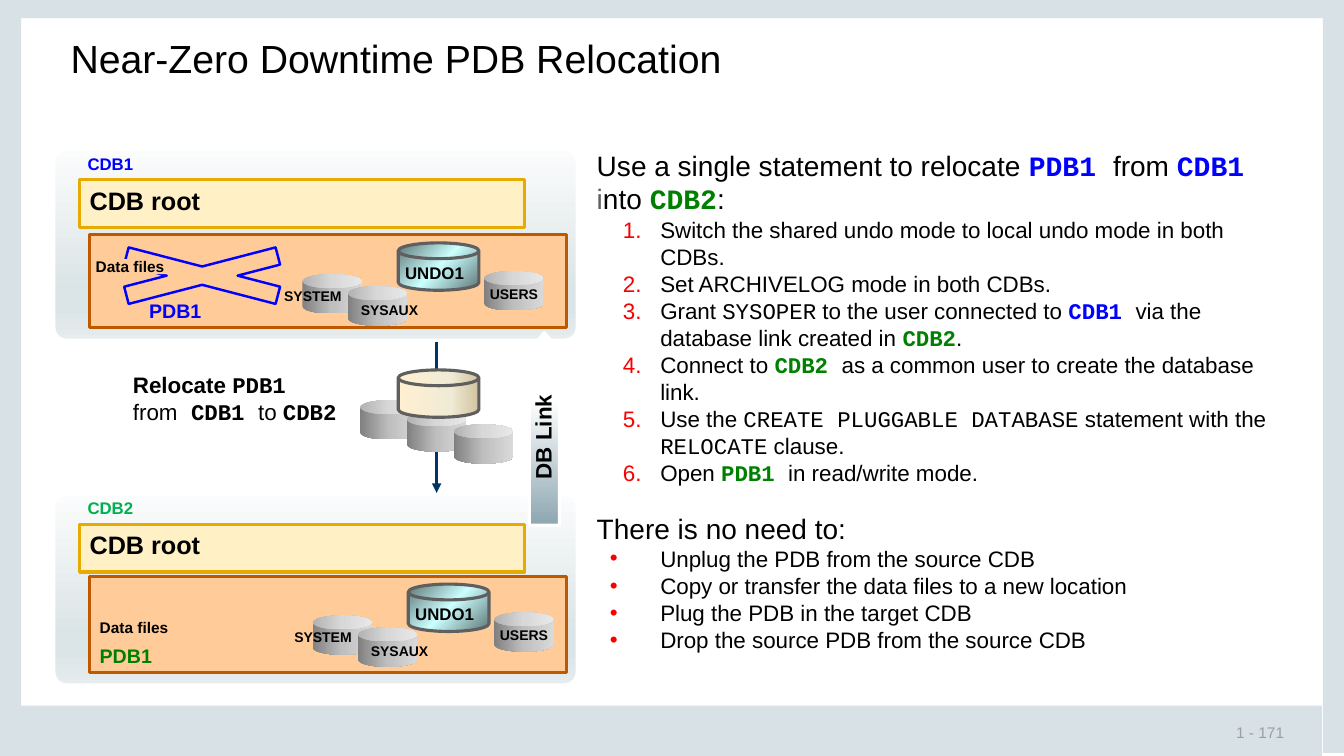
from dataclasses import dataclass

from lxml.etree import SubElement
from pptx import Presentation
from pptx.dml.color import RGBColor
from pptx.enum.shapes import MSO_CONNECTOR as Connector, MSO_SHAPE as Shape
from pptx.enum.text import MSO_ANCHOR as Anchor, PP_ALIGN as Align
from pptx.oxml import parse_xml
from pptx.oxml.ns import nsdecls, qn
from pptx.util import Inches, Pt


@dataclass(frozen=True)
class Theme:
    """Colours, fonts and type sizes of the deck."""
    sans: str = "Arial"
    mono: str = "Courier New"
    ink: str = "000000"
    white: str = "FFFFFF"
    grey: str = "5F5F5F"
    muted: str = "9F9F9F"
    frame: str = "D8E1E6"
    source: str = "0000FF"
    target: str = "008000"
    target_label: str = "00B050"
    marker: str = "F80000"
    arrow: str = "003366"
    root_fill: str = "FFF0C5"
    root_line: str = "E6AA00"
    pdb_fill: str = "FFCC99"
    pdb_line: str = "BF5900"
    panel: tuple = (90, (0, "FBFCFC"), (74, "DBE4E6"), (83, "DBE4E6"), (100, "E7EDEE"))
    can: tuple = (0, (0, "808080"), (50, "BFBFBF"), (100, "D9D9D9"))
    undo: tuple = (45, (0, "5E7676"), (50, "CCFFFF"), (100, "5E7676"))
    moving: tuple = (0, (0, "FFEFD1"), (65, "F0EBD5"), (100, "D1C39F"))
    link: tuple = (90, (0, "FFFFFF"), (35, "FFFFFF"), (100, "8DA6B1"))
    title: int = 28
    lead: int = 20
    root: int = 18
    body: int = 16
    pdb: int = 14
    tag: int = 12
    small: int = 11
    tiny: int = 10


class Board:
    """Draws themed elements on a slide grid of tenth-inch cells."""

    def __init__(self, slide, theme):
        self.shapes, self.theme = slide.shapes, theme
        self.styles = {
            "plain": (theme.sans, theme.ink, False), "bold": (theme.sans, theme.ink, True),
            "grey": (theme.sans, theme.grey, False), "muted": (theme.sans, theme.muted, False),
            "source_tag": (theme.sans, theme.source, True),
            "target_tag": (theme.sans, theme.target, True),
            "target_label": (theme.sans, theme.target_label, True),
            "code": (theme.mono, theme.ink, False), "code_bold": (theme.mono, theme.ink, True),
            "source": (theme.mono, theme.source, True), "target": (theme.mono, theme.target, True),
        }

    def cells(self, *lengths):
        return [Inches(length / 10) for length in lengths]

    def shape(self, kind, area, fill=None, line=None, weight=2.25, adjust=()):
        item = self.shapes.add_shape(kind, *self.cells(*area))
        item.shadow.inherit = False
        for index, value in enumerate(adjust):
            item.adjustments[index] = value
        if isinstance(fill, str):
            item.fill.solid()
            item.fill.fore_color.rgb = RGBColor.from_string(fill)
        else:
            item.fill.background()
            if fill:
                self.blend(item, *fill)
        if line:
            item.line.color.rgb = RGBColor.from_string(line)
            item.line.width = Pt(weight)
        else:
            item.line.fill.background()
        return item

    def blend(self, item, angle, *stops):
        marks = "".join(f'<a:gs pos="{pos * 1000}"><a:srgbClr val="{color}"/></a:gs>'
                        for pos, color in stops)
        gradient = parse_xml(f'<a:gradFill {nsdecls("a")} rotWithShape="1"><a:gsLst>{marks}'
                             f'</a:gsLst><a:lin ang="{angle * 60000}" scaled="0"/></a:gradFill>')
        properties = item.element.spPr
        properties.replace(properties.find(qn("a:noFill")), gradient)

    def typeset(self, paragraph, content, size, style="plain"):
        if isinstance(content, str):
            paragraph.text = content
            styles = [style]
        else:
            styles = [name for _, name in content]
            for words, _ in content:
                paragraph.add_run().text = words
        for run, name in zip(paragraph.runs, styles):
            run.font.name, color, run.font.bold = self.styles[name]
            run.font.color.rgb = RGBColor.from_string(color)
            run.font.size = Pt(size)

    def setup(self, item, inset=(1, 0.5, 1, 0.5), anchor=Anchor.TOP):
        frame = item.text_frame
        frame.word_wrap, frame.vertical_anchor = True, anchor
        (frame.margin_left, frame.margin_top,
         frame.margin_right, frame.margin_bottom) = self.cells(*inset)
        frame.paragraphs[0].alignment = Align.LEFT
        return frame

    def text(self, area, content, size, style="bold", **layout):
        box = self.shapes.add_textbox(*self.cells(*area))
        self.typeset(self.setup(box, **layout).paragraphs[0], content, size, style)
        return box

    def caption(self, item, content, size, style="bold", indent=0, **layout):
        paragraph = self.setup(item, **layout).paragraphs[0]
        paragraph._p.get_or_add_pPr().set("marL", str(self.cells(indent)[0]))
        self.typeset(paragraph, content, size, style)
        return paragraph

    def outline(self, area, rows):
        theme, frame = self.theme, self.setup(self.shapes.add_textbox(*self.cells(*area)))
        for index, (marker, content) in enumerate(rows):
            paragraph = frame.add_paragraph() if index else frame.paragraphs[0]
            if marker:
                tag, key, value, hang = marker
                props = paragraph._p.get_or_add_pPr()
                props.set("marL", str(self.cells(6.3)[0]))
                props.set("indent", str(-self.cells(hang)[0]))
                SubElement(SubElement(props, qn("a:buClr")), qn("a:srgbClr"), val=theme.marker)
                SubElement(props, qn("a:buFont"), typeface=theme.sans)
                SubElement(props, qn(tag), {key: value})
            size = theme.body if marker else theme.lead
            paragraph.line_spacing = Pt(19.3 if marker else 24.1)
            if index and not marker:
                paragraph.space_before = Pt(18)
            self.typeset(paragraph, content, size)

    def arrow(self, start, end):
        line = self.shapes.add_connector(Connector.STRAIGHT, *self.cells(*start, *end))
        line.line.color.rgb = RGBColor.from_string(self.theme.arrow)
        line.line.width = Pt(2.25)
        properties = line.element.spPr
        SubElement(properties.find(qn("a:ln")), qn("a:tailEnd"), type="triangle")
        SubElement(properties, qn("a:effectLst"))

    def can(self, left, top):
        self.shape(Shape.CAN, (left, top, 5.9, 3.9), self.theme.can, adjust=[0.356])

    def disk(self, left, top, fill):
        self.shape(Shape.FLOWCHART_MAGNETIC_DISK, (left, top, 8, 4.7), fill, self.theme.grey)

    def container(self, top, name, style):
        theme = self.theme
        self.shape(Shape.ROUNDED_RECTANGLE, (5.3, top, 52, 19), theme.panel, theme.white, 3, [0.067])
        label = self.text((7.7, top + 0.3, 12.7, 2.6), name, theme.tag, style)
        label.text_frame.paragraphs[0].line_spacing = 0.8
        root = self.shape(Shape.RECTANGLE, (7.9, top + 3.05, 44.1, 4.7),
                          theme.root_fill, theme.root_line)
        self.caption(root, "CDB root", theme.root)

    def pdb(self, top, height, style, indent=0):
        theme = self.theme
        area = self.shape(Shape.RECTANGLE, (8.9, top, 47.3, height), theme.pdb_fill, theme.pdb_line)
        self.caption(area, "PDB1", theme.pdb, style, indent, anchor=Anchor.BOTTOM)

    def data_files(self, left, top):
        theme = self.theme
        self.disk(left + 9.5, top, theme.undo)
        self.text((left + 9.2, top + 1.45, 10.6, 3), "UNDO1", theme.tag)
        for x, y in ((0, 3.1), (4.5, 4.3), (18, 2.8)):
            self.can(left + x, top + y)
        for x, y, name in ((4.8, 5.3, "SYSAUX"), (-2.8, 3.9, "SYSTEM"), (17.6, 3.7, "USERS")):
            self.text((left + x, top + y, 12.2, 2.7), name, theme.tiny)


NUMBER = ("a:buAutoNum", "type", "arabicPeriod", 3.7)
BULLET = ("a:buChar", "char", "•", 5)
STEPS = [
    "Switch the shared undo mode to local undo mode in both CDBs.",
    "Set ARCHIVELOG mode in both CDBs.",
    [("Grant ", "plain"), ("SYSOPER", "code"), (" to the user connected to ", "plain"),
     ("CDB1 ", "source"), ("via the database link created in ", "plain"),
     ("CDB2", "target"), (".", "plain")],
    [("Connect to ", "plain"), ("CDB2 ", "target"),
     ("as a common user to create the database link.", "plain")],
    [("Use the ", "plain"), ("CREATE PLUGGABLE DATABASE", "code"),
     (" statement with the ", "plain"), ("RELOCATE", "code"), (" clause.", "plain")],
    [("Open ", "plain"), ("PDB1 ", "target"), ("in read/write mode.", "plain")],
]
AVOIDED = ["Unplug the PDB from the source CDB", "Copy or transfer the data files to a new location",
           "Plug the PDB in the target CDB", "Drop the source PDB from the source CDB"]
LEAD = [("Use a single statement to relocate ", "plain"), ("PDB1 ", "source"), ("from ", "plain"),
        ("CDB1 ", "source"), ("i", "grey"), ("nto ", "plain"), ("CDB2", "target"), (":", "plain")]
MOVE = [("Relocate ", "bold"), ("PDB1 ", "code_bold"), ("from", "plain"),
        (" CDB1 ", "code_bold"), ("to ", "plain"), ("CDB2", "code_bold")]


def main():
    deck = Presentation()
    deck.slide_width, deck.slide_height = Inches(13.33), Inches(7.5)
    theme = Theme()
    board = Board(deck.slides.add_slide(deck.slide_layouts[6]), theme)

    for edge in ((131.2, 0, 2.1, 74.7), (0, 0, 2.1, 74.6), (0, 70, 131.1, 5), (0, 0, 133.3, 1.8)):
        board.shape(Shape.RECTANGLE, edge, theme.frame)
    board.text((121.3, 71.7, 11.8, 2), "1 - 171", theme.small, "muted",
               inset=(1.3, 0.7, 0, 0.7), anchor=Anchor.MIDDLE)
    board.text((6.8, 3.2, 119.7, 9.6), "Near-Zero Downtime PDB Relocation", theme.title, "plain",
               inset=(0.2, 0.2, 0.2, 0.2))
    board.outline((58.2, 14.2, 69.9, 51.5),
                  [(None, LEAD)] + [(NUMBER, step) for step in STEPS]
                  + [(None, "There is no need to:")] + [(BULLET, item) for item in AVOIDED])

    board.container(14.8, "CDB1", "source_tag")
    board.container(49, "CDB2", "target_label")
    board.pdb(23.3, 9.2, "source_tag", indent=4.9)
    board.pdb(57.2, 9.5, "target_tag")
    board.text((8.9, 60.8, 32.2, 2.9), "Data files", theme.small)
    board.shape(Shape.MATH_MULTIPLY, (5.6, 23.6, 28.9, 7.5), line=theme.source, weight=1.75)
    tag = board.shape(Shape.RECTANGLE, (9.2, 25.7, 7.4, 1.5), theme.pdb_fill)
    board.caption(tag, "Data files", theme.small, inset=(0, 0, 0, 0),
                  anchor=Anchor.MIDDLE).alignment = Align.CENTER
    board.data_files(30, 24.1)
    board.data_files(31, 57.95)

    board.text((12.2, 36.8, 22.9, 5.9), MOVE, theme.body, inset=(1, 0, 1, 0.5))
    board.arrow((43.3, 33.9), (43.3, 48.9))
    for step in range(3):
        board.can(35.7 + 4.65 * step, 39.7 + 1.2 * step)
    board.disk(39.5, 36.7, theme.moving)
    board.shape(Shape.UP_ARROW, (51, 33, 6, 19.1), theme.link, theme.white, adjust=[0.5, 0.602])
    link = board.text((48.6, 41.5, 10.5, 3.7), "DB Link", theme.body)
    link.rotation = 270
    link.text_frame.paragraphs[0].alignment = Align.CENTER
    deck.save("out.pptx")


if __name__ == "__main__":
    main()
